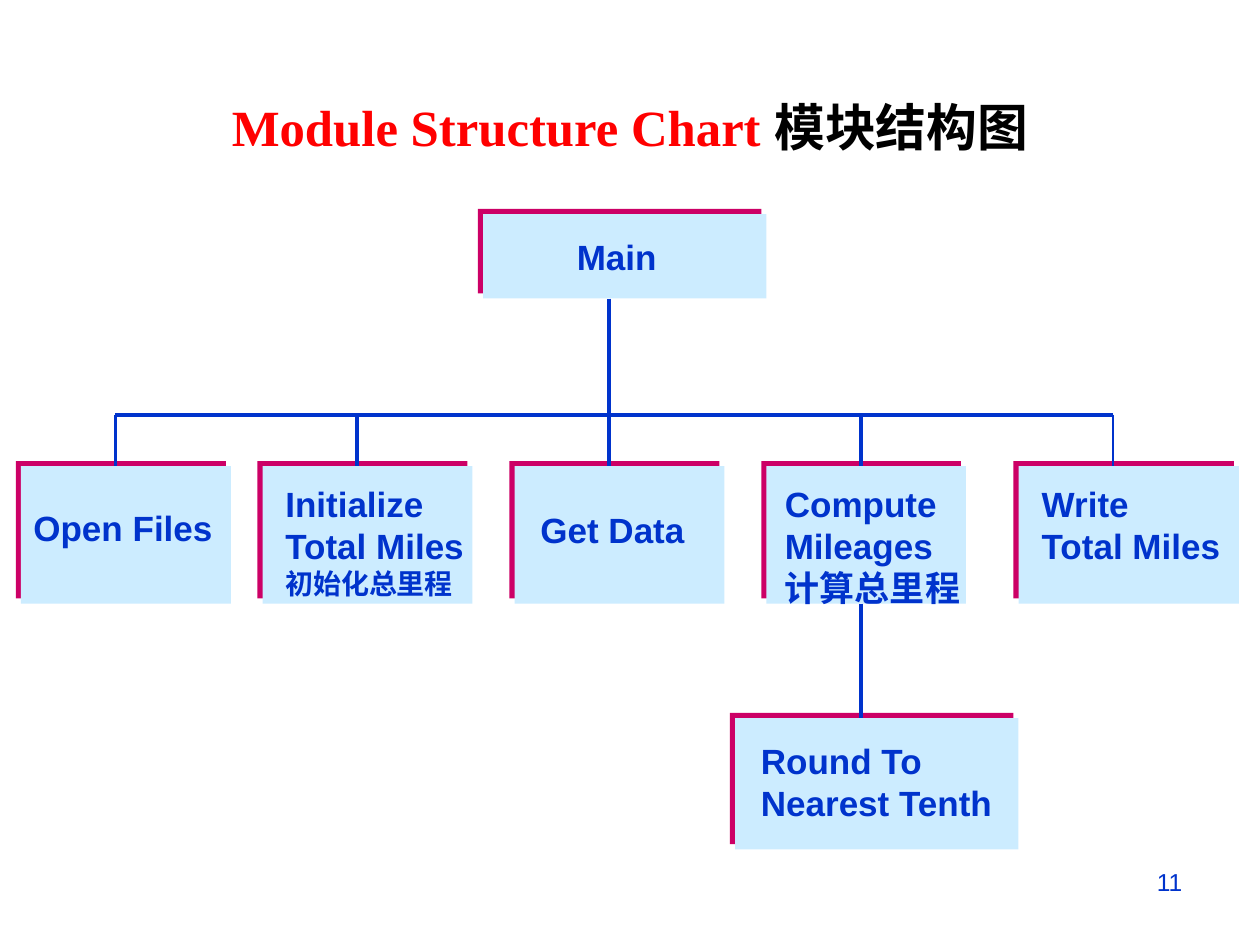
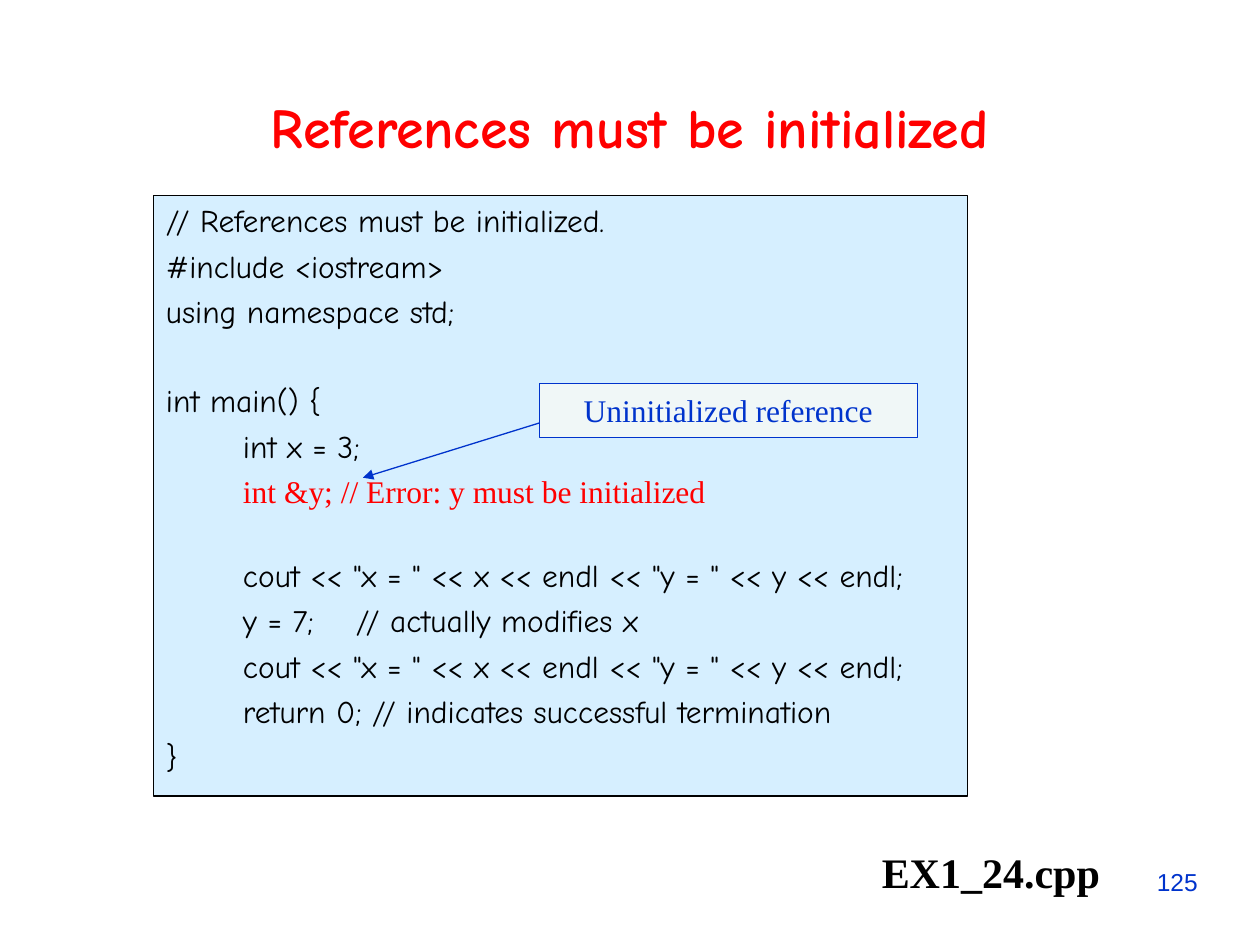
"""Build two course slides: a module structure chart and a reference example."""
from dataclasses import dataclass
from typing import Optional

import lxml.etree
import pptx
import pptx.dml.color
import pptx.enum.shapes
import pptx.enum.text
import pptx.oxml.ns
import pptx.shapes.base
import pptx.slide
import pptx.text.text
import pptx.util

Pt = pptx.util.Pt
RGBColor = pptx.dml.color.RGBColor
Align = pptx.enum.text.PP_ALIGN
Anchor = pptx.enum.text.MSO_ANCHOR
qn = pptx.oxml.ns.qn

BLUE = RGBColor(0x00, 0x33, 0xCC)
RED = RGBColor(0xFF, 0x00, 0x00)
BLACK = RGBColor(0x00, 0x00, 0x00)
PALE_BLUE = RGBColor(0xCC, 0xEC, 0xFF)
CALLOUT_FILL = RGBColor(0xF0, 0xF7, 0xF7)
MAGENTA = RGBColor(0xCC, 0x00, 0x66)

ARIAL = "Arial"
COMIC = "Comic Neue"
TIMES = "Times New Roman"

ROW_TOP = 266.4
ROW_HEIGHT = 78.5
BUS_Y = 237
MAIN_BOTTOM = 170.6
ROUND_TOP = 410.4
COLUMN_PITCH = 144
DROPS = [66] + [204 + COLUMN_PITCH * column for column in range(4)]
COMPUTE_X = DROPS[3]
MAIN_X = DROPS[2]

CODE_TAB = 44
CODE_GAP = 4.3


@dataclass(frozen=True)
class Box:
    """Position and size in points."""
    left: float
    top: float
    width: float
    height: float

    def lengths(self) -> list[pptx.util.Length]:
        """Return the four lengths that python-pptx expects."""
        return [Pt(value) for value in (self.left, self.top, self.width, self.height)]


@dataclass(frozen=True)
class Style:
    """Look of one run of text."""
    font: str
    size: float
    color: RGBColor
    bold: bool = False


@dataclass(frozen=True)
class Piece:
    """A run of text with its style."""
    text: str
    style: Style


@dataclass(frozen=True)
class Module:
    """A box of the structure chart with its label."""
    box: Box
    label_box: Box
    label: list[Piece]


@dataclass(frozen=True)
class Line:
    """A straight line in points."""
    start_x: float
    start_y: float
    end_x: float
    end_y: float
    weight: float = 2.25
    arrow: bool = False


@dataclass(frozen=True)
class CodeLine:
    """A line of code with the space above it."""
    pieces: list[Piece]
    space_before: float = CODE_GAP


LABEL = Style(ARIAL, 20, BLUE, True)
SMALL_LABEL = Style(ARIAL, 16, BLUE, True)
CHART_TITLE = Style(TIMES, 29, RED, True)
CHART_TITLE_CHINESE = Style(TIMES, 29, BLACK, True)
CODE_TITLE = Style(COMIC, 32, RED, True)
CODE = Style(COMIC, 18, BLACK)
ERROR = Style(TIMES, 18, RED)
CALLOUT = Style(TIMES, 18, BLUE)
FILE_NAME = Style(TIMES, 24, BLACK, True)
PAGE_NUMBER = Style(ARIAL, 14, BLUE)

TITLE_BOX = Box(24, 50, 672, 44)
PAGE_NUMBER_BOX = Box(654, 492, 39, 24.5)

MODULES = [
    Module(Box(276, 122.4, 162, 48.2), Box(322.5, 131, 62, 32.4), [Piece("Main", LABEL)]),
    Module(Box(12, ROW_TOP, 120, ROW_HEIGHT), Box(12, 286, 120, 32.4),
           [Piece("Open Files", LABEL)]),
    Module(Box(150, ROW_TOP, 120, ROW_HEIGHT), Box(156, 272, 117.4, 75),
           [Piece("Initialize", LABEL), Piece("Total Miles", LABEL),
            Piece("初始化总里程", SMALL_LABEL)]),
    Module(Box(294, ROW_TOP, 120, ROW_HEIGHT), Box(301.7, 287, 99.4, 32.4),
           [Piece("Get Data", LABEL)]),
    Module(Box(438, ROW_TOP, 114, ROW_HEIGHT), Box(441.4, 272, 116, 80),
           [Piece("Compute", LABEL), Piece("Mileages", LABEL), Piece("计算总里程", LABEL)]),
    Module(Box(582, ROW_TOP, 126, ROW_HEIGHT), Box(588.2, 272, 119.5, 57),
           [Piece("Write", LABEL), Piece("Total Miles", LABEL)]),
    Module(Box(420, ROUND_TOP, 162, 75), Box(427.7, 419, 150.5, 57),
           [Piece("Round To", LABEL), Piece("Nearest Tenth", LABEL)]),
]

CHART_LINES = [
    Line(MAIN_X, MAIN_BOTTOM, MAIN_X, ROW_TOP),
    Line(DROPS[0], BUS_Y, DROPS[-1], BUS_Y),
    *[Line(x, BUS_Y, x, ROW_TOP) for x in DROPS[:-1] if x != MAIN_X],
    Line(DROPS[-1], BUS_Y, DROPS[-1], ROW_TOP, weight=1),
    Line(COMPUTE_X, ROW_TOP + ROW_HEIGHT, COMPUTE_X, ROUND_TOP),
]

PRINT_LINE = CodeLine([Piece('\tcout << "x = " << x << endl << "y = " << y << endl;', CODE)])
CODE_LINES = [
    CodeLine([Piece("// References must be initialized.", CODE)], 0),
    CodeLine([Piece("#include <iostream>", CODE)]),
    CodeLine([Piece("using namespace std;", CODE)]),
    CodeLine([Piece("int main() {", CODE)], 29.3),
    CodeLine([Piece("\tint x = 3;", CODE)]),
    CodeLine([Piece("\t", CODE), Piece("int &y; // Error: y must be initialized", ERROR)]),
    CodeLine(PRINT_LINE.pieces, 26.5),
    CodeLine([Piece("\ty = 7;    // actually modifies x", CODE)]),
    PRINT_LINE,
    CodeLine([Piece("\treturn 0; // indicates successful termination", CODE)]),
    CodeLine([Piece("}", CODE)]),
]


def add_run(paragraph: pptx.text.text._Paragraph, piece: Piece) -> None:
    """Append one styled run to a paragraph."""
    run = paragraph.add_run()
    run.text = piece.text
    run.font.name = piece.style.font
    run.font.size = Pt(piece.style.size)
    run.font.bold = piece.style.bold
    run.font.color.rgb = piece.style.color


def write_lines(frame: pptx.text.text.TextFrame, lines: list[list[Piece]],
                align: Align = Align.LEFT) -> None:
    """Write each list of pieces as one paragraph."""
    for index, pieces in enumerate(lines):
        paragraph = frame.add_paragraph() if index else frame.paragraphs[0]
        paragraph.alignment = align
        for piece in pieces:
            add_run(paragraph, piece)


def add_text(slide: pptx.slide.Slide, box: Box, lines: list[list[Piece]],
             align: Align = Align.LEFT, anchor: Anchor = Anchor.TOP,
             wrap: bool = True) -> None:
    """Add a text box; one that does not wrap fits its text."""
    frame = slide.shapes.add_textbox(*box.lengths()).text_frame
    frame.word_wrap = wrap
    frame.vertical_anchor = anchor
    if not wrap:
        frame.auto_size = pptx.enum.text.MSO_AUTO_SIZE.SHAPE_TO_FIT_TEXT
    write_lines(frame, lines, align)


def add_rectangle(slide: pptx.slide.Slide, box: Box, fill: RGBColor,
                  line: Optional[RGBColor] = None) -> pptx.shapes.base.BaseShape:
    """Add a flat rectangle with top-anchored text."""
    shape = slide.shapes.add_shape(pptx.enum.shapes.MSO_SHAPE.RECTANGLE, *box.lengths())
    shape.shadow.inherit = False
    shape.fill.solid()
    shape.fill.fore_color.rgb = fill
    if line is None:
        shape.line.fill.background()
    else:
        shape.line.color.rgb = line
        shape.line.width = Pt(0.75)
    shape.text_frame.word_wrap = True
    shape.text_frame.vertical_anchor = Anchor.TOP
    return shape


def add_line(slide: pptx.slide.Slide, line: Line) -> None:
    """Add a blue connector, with an arrowhead at its end if wanted."""
    connector = slide.shapes.add_connector(
        pptx.enum.shapes.MSO_CONNECTOR.STRAIGHT,
        Pt(line.start_x), Pt(line.start_y), Pt(line.end_x), Pt(line.end_y))
    connector.line.color.rgb = BLUE
    connector.line.width = Pt(line.weight)
    properties = connector.element.spPr
    if line.arrow:
        lxml.etree.SubElement(properties.find(qn("a:ln")), qn("a:tailEnd"), type="triangle")
    lxml.etree.SubElement(properties, qn("a:effectLst"))


def add_module_box(slide: pptx.slide.Slide, box: Box) -> None:
    """Add a pale box with a hard magenta shadow at its upper left."""
    shape = add_rectangle(slide, box, PALE_BLUE)
    effects = shape.element.spPr.find(qn("a:effectLst"))
    shadow = lxml.etree.SubElement(
        effects, qn("a:outerShdw"), blurRad="0", dist=str(int(Pt(4.2))),
        dir=str(225 * 60000), algn="ctr", rotWithShape="0")
    lxml.etree.SubElement(shadow, qn("a:srgbClr"), val=str(MAGENTA))


def add_frame(slide: pptx.slide.Slide, title: list[Piece], number: str) -> None:
    """Add the title and page number that every slide has."""
    add_text(slide, TITLE_BOX, [title], Align.CENTER, Anchor.MIDDLE)
    add_text(slide, PAGE_NUMBER_BOX, [[Piece(number, PAGE_NUMBER)]])


def add_code(slide: pptx.slide.Slide, box: Box) -> None:
    """Add the translucent panel with the code listing."""
    panel = add_rectangle(slide, box, PALE_BLUE, BLACK)
    fill_color = panel.element.spPr.find(qn("a:solidFill")).find(qn("a:srgbClr"))
    lxml.etree.SubElement(fill_color, qn("a:alpha"), val="80000")
    frame = panel.text_frame
    write_lines(frame, [line.pieces for line in CODE_LINES])
    for paragraph, line in zip(frame.paragraphs, CODE_LINES):
        paragraph.space_before = Pt(line.space_before)
        tabs = lxml.etree.SubElement(paragraph._p.get_or_add_pPr(), qn("a:tabLst"))
        lxml.etree.SubElement(tabs, qn("a:tab"), pos=str(int(Pt(CODE_TAB))), algn="l")


def build_chart_slide(slide: pptx.slide.Slide) -> None:
    """Draw the module structure chart."""
    for module in MODULES:
        add_module_box(slide, module.box)
    for module in MODULES:
        add_text(slide, module.label_box, [[piece] for piece in module.label], wrap=False)
    for line in CHART_LINES:
        add_line(slide, line)
    add_frame(slide, [Piece("Module Structure Chart ", CHART_TITLE),
                      Piece("模块结构图", CHART_TITLE_CHINESE)], "11")


def build_code_slide(slide: pptx.slide.Slide) -> None:
    """Draw the code example with its callout."""
    add_frame(slide, [Piece("References must be initialized", CODE_TITLE)], "125")
    add_code(slide, Box(87.8, 111.6, 465, 343.4))
    add_text(slide, Box(496, 480, 140.4, 36), [[Piece("EX1_24.cpp", FILE_NAME)]],
             Align.CENTER, wrap=False)
    add_line(slide, Line(342.7, 231, 207.4, 273, weight=0.75, arrow=True))
    callout = add_rectangle(slide, Box(308.2, 219, 216, 31), CALLOUT_FILL, BLUE)
    write_lines(callout.text_frame, [[Piece("Uninitialized reference", CALLOUT)]], Align.CENTER)
    callout.text_frame.margin_top = Pt(4.5)


def main() -> None:
    """Build and save the presentation."""
    presentation = pptx.Presentation()
    presentation.slide_width = Pt(720)
    presentation.slide_height = Pt(540)
    blank = presentation.slide_layouts[6]
    for build in (build_chart_slide, build_code_slide):
        build(presentation.slides.add_slide(blank))
    presentation.save("out.pptx")


if __name__ == "__main__":
    main()
